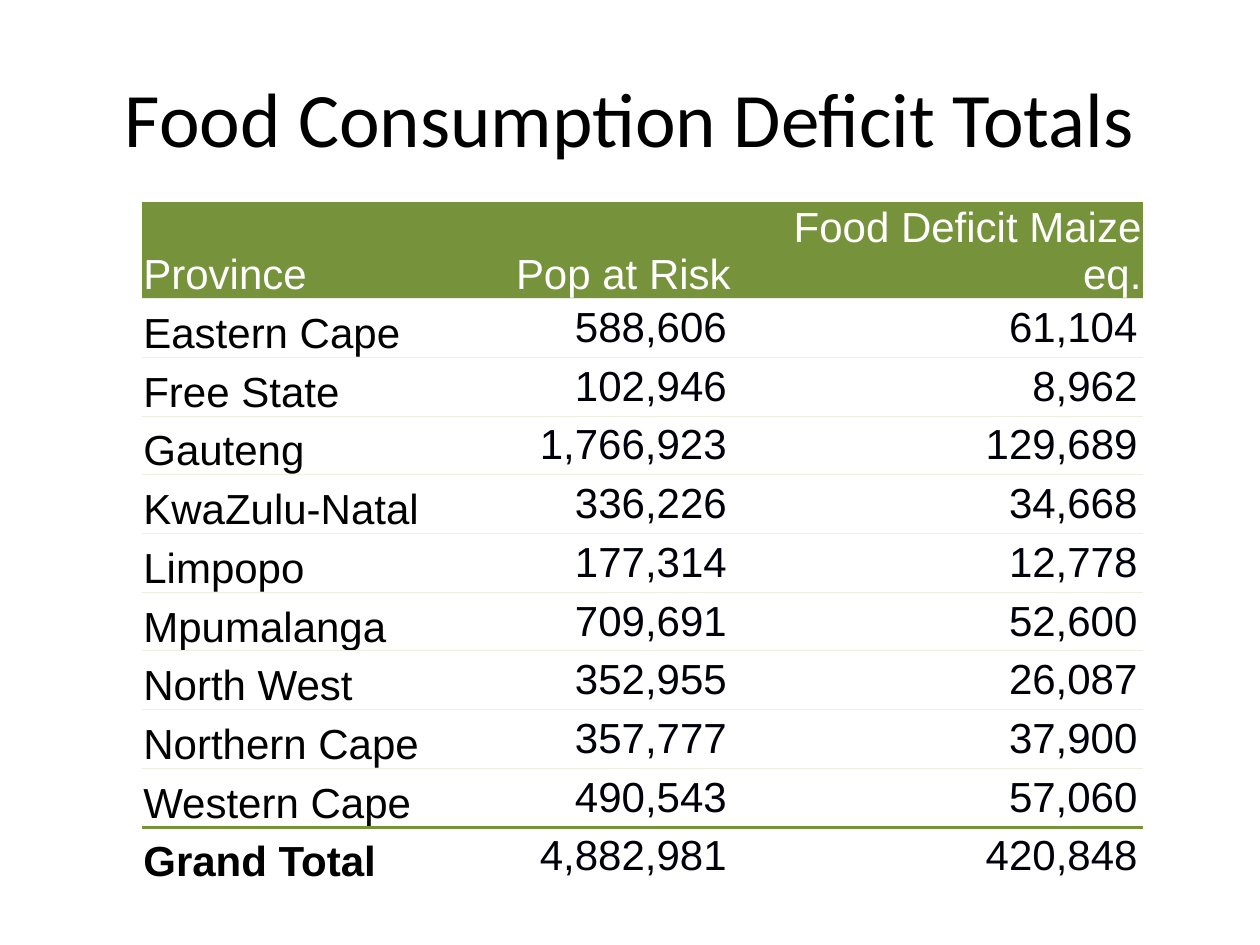
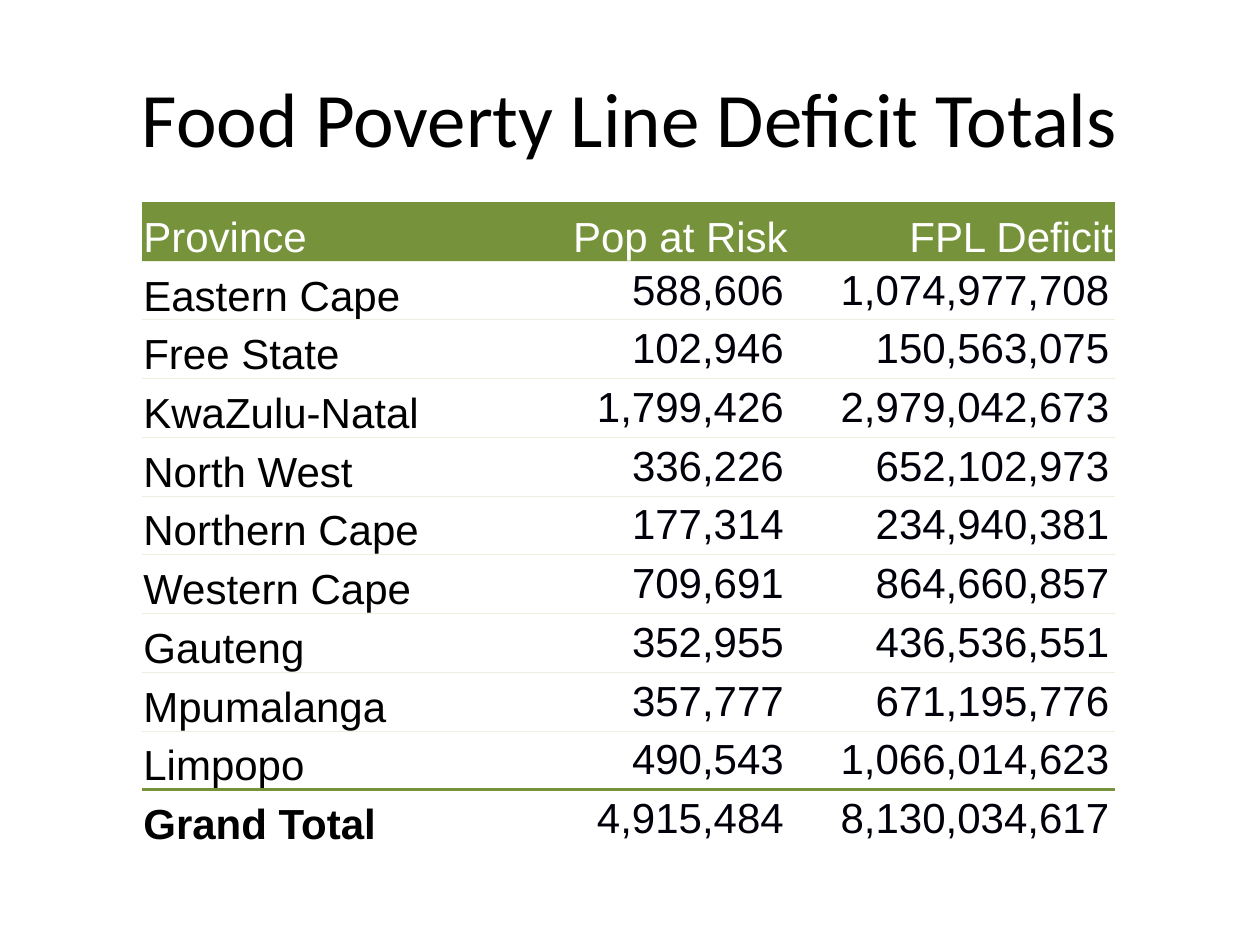
import pptx
import pptx.dml.color
import pptx.enum.text
import pptx.oxml
import pptx.oxml.ns
import pptx.util
from pptx.util import Cm

GREEN, PALE, WHITE, BLACK, INK = "76933C", "EBF1DE", "FFFFFF", "000000", "00000A"
NO_GRID_STYLE = "{2D5ABB26-0587-4C30-8999-92F81FD0307C}"

DEFICITS = [
    {
        "title": "Food Consumption Deficit Totals",
        "widths": (6.35, 5.55, 8.28),
        "rows": [
            ("Province", "Pop at Risk", "Food Deficit Maize eq."),
            ("Eastern Cape", "588,606", "61,104"),
            ("Free State", "102,946", "8,962"),
            ("Gauteng", "1,766,923", "129,689"),
            ("KwaZulu-Natal", "336,226", "34,668"),
            ("Limpopo", "177,314", "12,778"),
            ("Mpumalanga", "709,691", "52,600"),
            ("North West", "352,955", "26,087"),
            ("Northern Cape", "357,777", "37,900"),
            ("Western Cape", "490,543", "57,060"),
            ("Grand Total", "4,882,981", "420,848"),
        ],
    },
    {
        "title": "Food Poverty Line Deficit Totals",
        "widths": (7.01, 6.04, 6.56),
        "rows": [
            ("Province", "Pop at Risk", "FPL Deficit"),
            ("Eastern Cape", "588,606", "1,074,977,708"),
            ("Free State", "102,946", "150,563,075"),
            ("KwaZulu-Natal", "1,799,426", "2,979,042,673"),
            ("North West", "336,226", "652,102,973"),
            ("Northern Cape", "177,314", "234,940,381"),
            ("Western Cape", "709,691", "864,660,857"),
            ("Gauteng", "352,955", "436,536,551"),
            ("Mpumalanga", "357,777", "671,195,776"),
            ("Limpopo", "490,543", "1,066,014,623"),
            ("Grand Total", "4,915,484", "8,130,034,617"),
        ],
    },
]

ALIGN = pptx.enum.text.PP_ALIGN
ANCHOR = pptx.enum.text.MSO_ANCHOR
TITLE_FONT = {"name": "Calibri", "size": pptx.util.Pt(44), "bold": False}
TABLE_FONT = {"name": "Arial", "size": pptx.util.Pt(24)}
TABLE_LINE = pptx.util.Pt(27)
LABEL_CELL = {
    "vertical_anchor": ANCHOR.BOTTOM,
    "margin_left": Cm(0.03), "margin_right": Cm(0.03),
    "margin_top": Cm(0.03), "margin_bottom": Cm(0),
}
NUMBER_CELL = {
    "vertical_anchor": ANCHOR.TOP,
    "margin_left": Cm(0.11), "margin_right": Cm(0.11),
    "margin_top": Cm(0.11), "margin_bottom": Cm(0),
}
TABLE_HEIGHT = Cm(13.03)


def colour(value):
    return pptx.dml.color.RGBColor.from_string(value)


def apply(target, values):
    for name, value in values.items():
        setattr(target, name, value)


def write(frame, text, font, ink, layout):
    paragraph = frame.paragraphs[0]
    apply(paragraph, layout)
    run = paragraph.add_run()
    run.text = text
    apply(run.font, font)
    run.font.color.rgb = colour(ink)


def add_rule(cell, side, ink, points):
    cell._tc.get_or_add_tcPr().append(pptx.oxml.parse_xml(
        f'<a:{side} {pptx.oxml.ns.nsdecls("a")} w="{pptx.util.Pt(points)}">'
        f'<a:solidFill><a:srgbClr val="{ink}"/></a:solidFill></a:{side}>'))


def add_title(slide, title):
    box = slide.shapes.add_textbox(Cm(0), Cm(0.76), Cm(25.4), Cm(3.18))
    apply(box.text_frame, {"word_wrap": True, "vertical_anchor": ANCHOR.MIDDLE})
    write(box.text_frame, title, TITLE_FONT, BLACK, {"alignment": ALIGN.CENTER})


def add_totals(slide, rows, widths):
    total = len(rows) - 1
    rules = [(GREEN, 0.5)] + [(PALE, 0.5)] * (total - 1) + [(GREEN, 2)]
    frame = slide.shapes.add_table(
        len(rows), len(widths), Cm(2.86), Cm(4.08), Cm(sum(widths)), TABLE_HEIGHT)
    frame.element.xpath(".//a:tableStyleId")[0].text = NO_GRID_STYLE
    provinces = frame.table
    apply(provinces, {"first_row": False, "horz_banding": False})
    for column, width in zip(provinces.columns, widths):
        column.width = Cm(width)
    for r, row in enumerate(rows):
        provinces.rows[r].height = TABLE_HEIGHT // len(rows)
        for c, text in enumerate(row):
            cell = provinces.cell(r, c)
            header, label = r == 0, c == 0
            apply(cell, LABEL_CELL if header or label else NUMBER_CELL)
            add_rule(cell, "lnT", *rules[r])
            if r < total:
                add_rule(cell, "lnB", *rules[r + 1])
            if header:
                cell.fill.solid()
                cell.fill.fore_color.rgb = colour(GREEN)
            else:
                cell.fill.background()
            ink = WHITE if header else BLACK if label else INK
            font = TABLE_FONT | {"bold": label and r == total}
            layout = {"alignment": ALIGN.LEFT if label else ALIGN.RIGHT,
                      "line_spacing": TABLE_LINE}
            write(cell.text_frame, text, font, ink, layout)


def main():
    deck = pptx.Presentation()
    apply(deck, {"slide_width": Cm(25.4), "slide_height": Cm(19.05)})
    for deficit in DEFICITS:
        slide = deck.slides.add_slide(deck.slide_layouts[6])
        add_title(slide, deficit["title"])
        add_totals(slide, deficit["rows"], deficit["widths"])
    deck.save("out.pptx")


if __name__ == "__main__":
    main()
